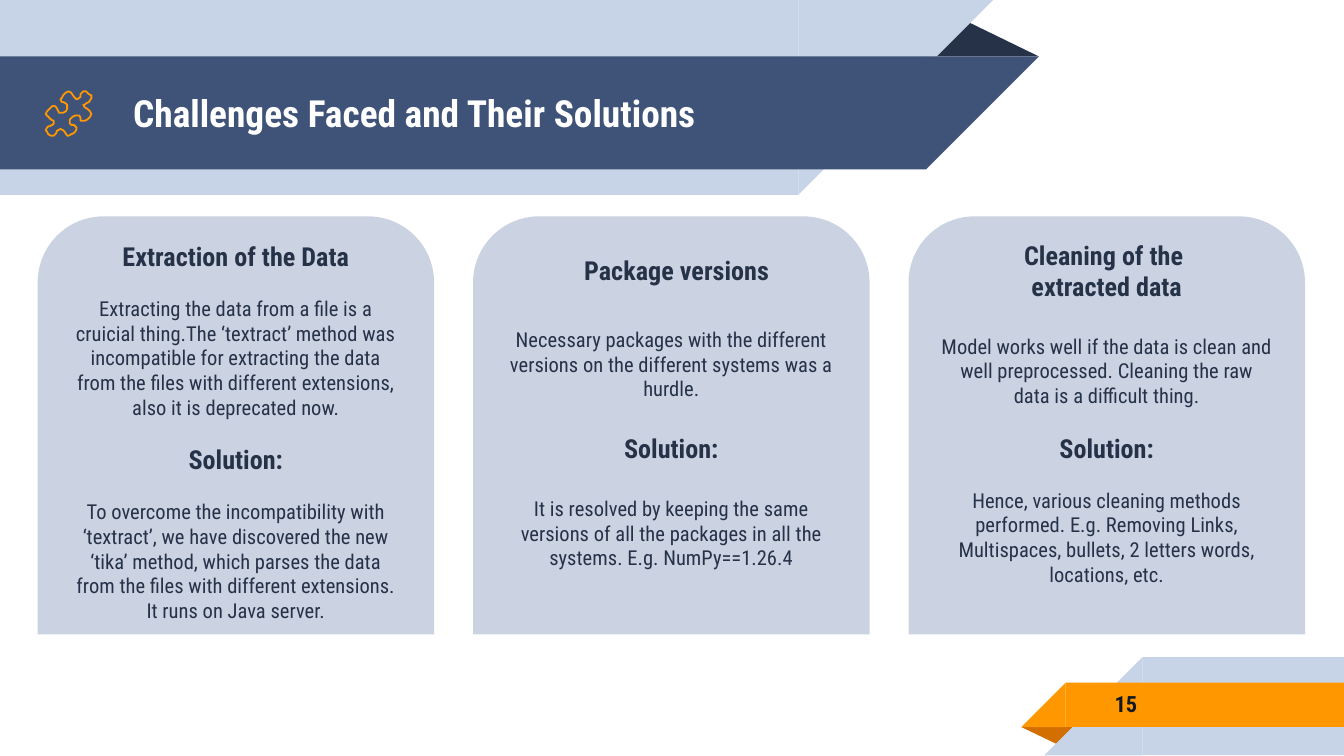
"""Builds a slide of three challenge cards under a ribbon title."""
from pptx import Presentation
from pptx.dml.color import RGBColor
from pptx.enum.shapes import MSO_SHAPE as Preset
from pptx.enum.text import MSO_ANCHOR as Anchor, MSO_AUTO_SIZE as AutoSize, PP_ALIGN as Align
from pptx.util import Inches, Pt

FONT = "Roboto Condensed"
PALE, NAVY, DARK, ORANGE, RUST = "C7D3E6", "3F5378", "263248", "FF9800", "D26F00"
CARD_FILL, NUMBER_INK, WHITE = "CBD3E3", "131924", "FFFFFF"
WIDTH = 10
HEIGHT = WIDTH * 9 / 16
MARGIN, CARD_TOP, CARD_WIDTH, CARD_HEIGHT, COLUMN = 0.28, 1.61, 2.95, 3.11, 3.24


def add_filled(preset, left, top, width, height, color, rotation=0):
    shape = slide.shapes.add_shape(preset, Inches(left), Inches(top), Inches(width), Inches(height))
    shape.shadow.inherit = False
    shape.fill.solid()
    shape.fill.fore_color.rgb = RGBColor.from_string(color)
    shape.line.fill.background()
    shape.rotation = rotation
    return shape


def style(paragraph, text, size, color, bold=False, align=Align.CENTER):
    paragraph.text = text
    paragraph.alignment = align
    paragraph.font.name = FONT
    paragraph.font.size = Pt(size)
    paragraph.font.bold = bold
    paragraph.font.color.rgb = RGBColor.from_string(color)


presentation = Presentation()
presentation.slide_width, presentation.slide_height = Inches(WIDTH), Inches(HEIGHT)
slide = presentation.slides.add_slide(presentation.slide_layouts[5])

fold = add_filled(Preset.ISOSCELES_TRIANGLE, 6.88, 0.14, 0.85, 0.28, DARK)
fold.adjustments[0] = 0.324
for top, length, depth, color in [(0, 5.94, 1.45, PALE), (0.42, 6.89, 0.84, NAVY)]:
    add_filled(Preset.RECTANGLE, 0, top, length, depth, color)
    add_filled(Preset.RIGHT_TRIANGLE, length, top, depth, depth, color, 90)

fold = add_filled(Preset.ISOSCELES_TRIANGLE, 7.6, 5.41, 0.43, 0.14, RUST, 180)
fold.adjustments[0] = 0.324
for top, left, depth, color in [(4.89, 8.5, 0.73, PALE), (5.08, 7.93, 0.33, ORANGE)]:
    add_filled(Preset.RECTANGLE, left, top, WIDTH - left, depth, color)
    add_filled(Preset.RIGHT_TRIANGLE, left - depth, top, depth, depth, color, 270)

title = slide.shapes.title
slide.shapes._spTree.append(title._element)
title.left, title.top, title.width, title.height = map(Inches, (0.89, 0.42, 5.75, 0.84))
title.text_frame.auto_size = AutoSize.NONE
title.text_frame.vertical_anchor = Anchor.MIDDLE
style(title.text_frame.paragraphs[0], "Challenges Faced and Their Solutions", 20, WHITE, True, Align.LEFT)

number = slide.shapes.add_textbox(Inches(7.93), Inches(5.07), Inches(0.63), Inches(0.33))
number.text_frame.word_wrap = True
number.text_frame.vertical_anchor = Anchor.MIDDLE
style(number.text_frame.paragraphs[0], "15", 12, NUMBER_INK, True, Align.RIGHT)

puzzle_outline = [
    (64, 77), (66, 76), (67, 75), (68, 73), (67.5, 71), (66, 69.5), (64, 68), (62, 68), (61, 69),
    (60, 70), (60, 72), (59, 73), (57, 74), (56, 73), (55, 72), (53, 69), (51, 68), (49, 69),
    (47, 71), (46, 73), (45, 74), (46, 76), (47, 76.5), (49, 77), (50, 78), (50, 80), (50, 81),
    (49, 83), (47, 84), (45, 84), (44, 83.5), (43, 82), (42, 80), (41, 79), (39, 79), (37, 81),
    (35, 83), (34, 85), (35, 86), (38, 89), (40, 90), (40, 92), (39, 93), (37, 94), (36, 94),
    (35, 95), (34, 97), (35, 98.5), (36, 100), (38, 101), (40, 101), (41, 100.5), (42, 99),
    (42, 98), (43, 97), (45, 96), (47, 97), (48, 98), (50, 101), (51, 101), (53, 100.5), (55, 99),
    (56, 97.5), (57, 96), (57, 95), (56, 94), (55, 93), (53, 93), (52, 91.5), (52, 89), (53, 88),
    (54, 87), (56, 86), (57, 86), (59, 86.5), (59.5, 88), (60, 90), (61, 90.5), (63, 90.5),
    (65, 89), (67, 87), (68, 85), (67, 83), (65, 81), (63, 80), (62, 78.5), (63, 77.5),
]
builder = slide.shapes.build_freeform(*puzzle_outline[0], scale=Inches(0.01))
builder.add_line_segments(puzzle_outline[1:], close=True)
puzzle = builder.convert_to_shape()
puzzle.shadow.inherit = False
puzzle.fill.background()
puzzle.line.color.rgb = RGBColor.from_string(ORANGE)
puzzle.line.width = Pt(0.96)

cards = [
    (["Extraction of the Data"], 0, 1.74, 0.45, 13,
     "Extracting the data from a file is a cruicial thing.The ‘textract’ method was incompatible for "
     "extracting the data from the files with different extensions, also it is deprecated now.",
     "To overcome the incompatibility with ‘textract’, we have discovered the new ‘tika’ method, "
     "which parses the data from the files with different extensions. It runs on Java server."),
    (["Package versions"], 0.04, 1.84, 0.68, 17,
     "Necessary packages with the different versions on the different systems was a hurdle.",
     "It is resolved by keeping the same versions of all the packages in all the systems. "
     "E.g. NumPy==1.26.4"),
    (["Cleaning of the ", "extracted data"], 0, 1.73, 0.73, 13,
     "Model works well if the data is clean and well preprocessed. Cleaning the raw data is a "
     "difficult thing.",
     "Hence, various cleaning methods performed. E.g. Removing Links, Multispaces, bullets, "
     "2 letters words, locations, etc."),
]
for column, (heading_lines, shift, heading_top, inset, gap, challenge, solution) in enumerate(cards):
    left = MARGIN + column * COLUMN
    card = add_filled(Preset.ROUND_2_SAME_RECTANGLE, left, CARD_TOP, CARD_WIDTH, CARD_HEIGHT, CARD_FILL)
    frame = card.text_frame
    frame.word_wrap = True
    frame.vertical_anchor = Anchor.TOP
    frame.margin_top, frame.margin_bottom = Inches(inset), 0
    for row, (text, size) in enumerate([(challenge, 11), ("Solution:", 14), (solution, 11)]):
        paragraph = frame.add_paragraph() if row else frame.paragraphs[0]
        style(paragraph, text, size, DARK, size == 14)
        paragraph.space_before = Pt(gap if row else 0)

    heading = slide.shapes.add_textbox(Inches(left + 0.25 + shift), Inches(heading_top),
                                       Inches(CARD_WIDTH - 0.5), Inches(0.05 + 0.23 * len(heading_lines)))
    heading.text_frame.word_wrap = True
    for row, text in enumerate(heading_lines):
        paragraph = heading.text_frame.add_paragraph() if row else heading.text_frame.paragraphs[0]
        style(paragraph, text, 14, DARK, True)

presentation.save("out.pptx")
